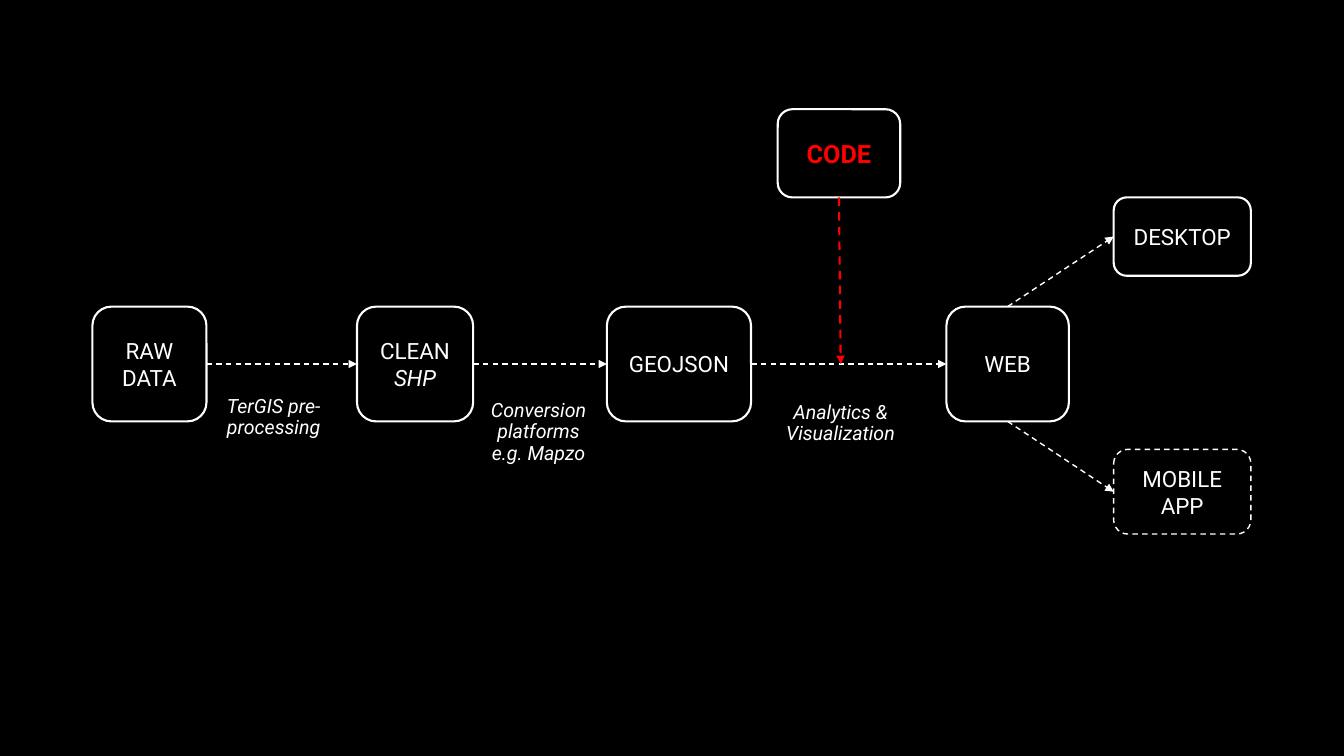
from pptx import Presentation
from pptx.dml.color import RGBColor
from pptx.enum.dml import MSO_LINE
from pptx.enum.shapes import MSO_CONNECTOR, MSO_SHAPE
from pptx.enum.text import MSO_ANCHOR, PP_ALIGN
from pptx.oxml.ns import qn
from pptx.util import Pt
from lxml.etree import SubElement

COLORS = {"back": "000000", "main": "FFFFFF", "accent": "FF0000"}
FONT = "Roboto"
TOP, LEFT, BOTTOM, RIGHT = range(4)


def rgb(name):
    return RGBColor.from_string(COLORS[name])


def format_run(r, size, color="main", bold=False, italic=False):
    r.font.name = FONT
    r.font.size = Pt(size)
    r.font.color.rgb = rgb(color)
    r.font.bold = bold
    r.font.italic = italic


def add_node(s, box, text, size=16, color="main", bold=False, dashed=False):
    sp = s.shapes.add_shape(MSO_SHAPE.ROUNDED_RECTANGLE, *map(Pt, box))
    sp.shadow.inherit = False
    sp.fill.background()
    sp.line.color.rgb = rgb("main")
    sp.line.width = Pt(1 if dashed else 1.5)
    if dashed:
        sp.line.dash_style = MSO_LINE.DASH
    tf = sp.text_frame
    tf.word_wrap = True
    tf.vertical_anchor = MSO_ANCHOR.MIDDLE
    p = tf.paragraphs[0]
    p.text = text
    p.alignment = PP_ALIGN.CENTER
    format_run(p.runs[0], size, color, bold)
    return sp


def add_label(s, box, lines, align=PP_ALIGN.CENTER):
    tf = s.shapes.add_textbox(*map(Pt, box)).text_frame
    tf.word_wrap = True
    tf.vertical_anchor = MSO_ANCHOR.MIDDLE
    tf.text = "\n".join(lines)
    for p in tf.paragraphs:
        p.alignment = align
        p.line_spacing = 0.9
        format_run(p.runs[0], 14, italic=True)


def add_arrow(s, start, side, end, end_side=None, color="main", width=1):
    x, y = (0, 0) if end_side is not None else end
    c = s.shapes.add_connector(MSO_CONNECTOR.STRAIGHT, 0, 0, Pt(x), Pt(y))
    c.begin_connect(start, side)
    if end_side is not None:
        c.end_connect(end, end_side)
    c.line.color.rgb = rgb(color)
    c.line.width = Pt(width)
    c.line.dash_style = MSO_LINE.DASH
    SubElement(c.line._ln, qn("a:tailEnd")).set("type", "triangle")
    SubElement(c._element.spPr, qn("a:effectLst"))


def draw_pipeline(s, x, y, h):
    steps = [(0, 81.5, "RAW DATA"), (189, 83, "CLEAN "),
             (367.5, 103, "GEOJSON"), (610, 87.5, "WEB")]
    nodes = [add_node(s, (x + dx, y, w, h), text) for dx, w, text in steps]
    r = nodes[1].text_frame.paragraphs[0].add_run()
    r.text = "SHP"
    format_run(r, 16, italic=True)
    for start, end in zip(nodes, nodes[1:]):
        add_arrow(s, start, RIGHT, end, LEFT)
    add_label(s, (x + 89, y + 61, 94, 37), ["TerGIS pre-processing"], PP_ALIGN.LEFT)
    add_label(s, (x + 273, y + 51, 91.5, 78), ["Conversion platforms", "e.g. Mapzo"])
    add_label(s, (x + 478, y + 65, 113, 37), ["Analytics & Visualization"])
    return nodes[-1]


def draw_outputs(s, x, y, w, web):
    desktop = add_node(s, (x, y, w, 56), "DESKTOP")
    mobile = add_node(s, (x, y + 180, w, 60.5), "MOBILE APP", dashed=True)
    add_arrow(s, web, TOP, desktop, LEFT)
    add_arrow(s, web, BOTTOM, mobile, LEFT)


def draw_code(s, x, y, w, h, target):
    code = add_node(s, (x, y, w, h), "CODE", 18, "accent", bold=True)
    add_arrow(s, code, BOTTOM, target, color="accent", width=1.5)


def main():
    prs = Presentation()
    prs.slide_width, prs.slide_height = Pt(960), Pt(540)
    s = prs.slides.add_slide(prs.slide_layouts[6])
    s.background.fill.solid()
    s.background.fill.fore_color.rgb = rgb("back")
    row_y, row_h = 219, 82
    web = draw_pipeline(s, 66, row_y, row_h)
    draw_outputs(s, 795.5, 141, 98, web)
    draw_code(s, 555.5, 78, 87.5, 63, (600.5, row_y + row_h / 2))
    prs.save("out.pptx")


if __name__ == "__main__":
    main()
